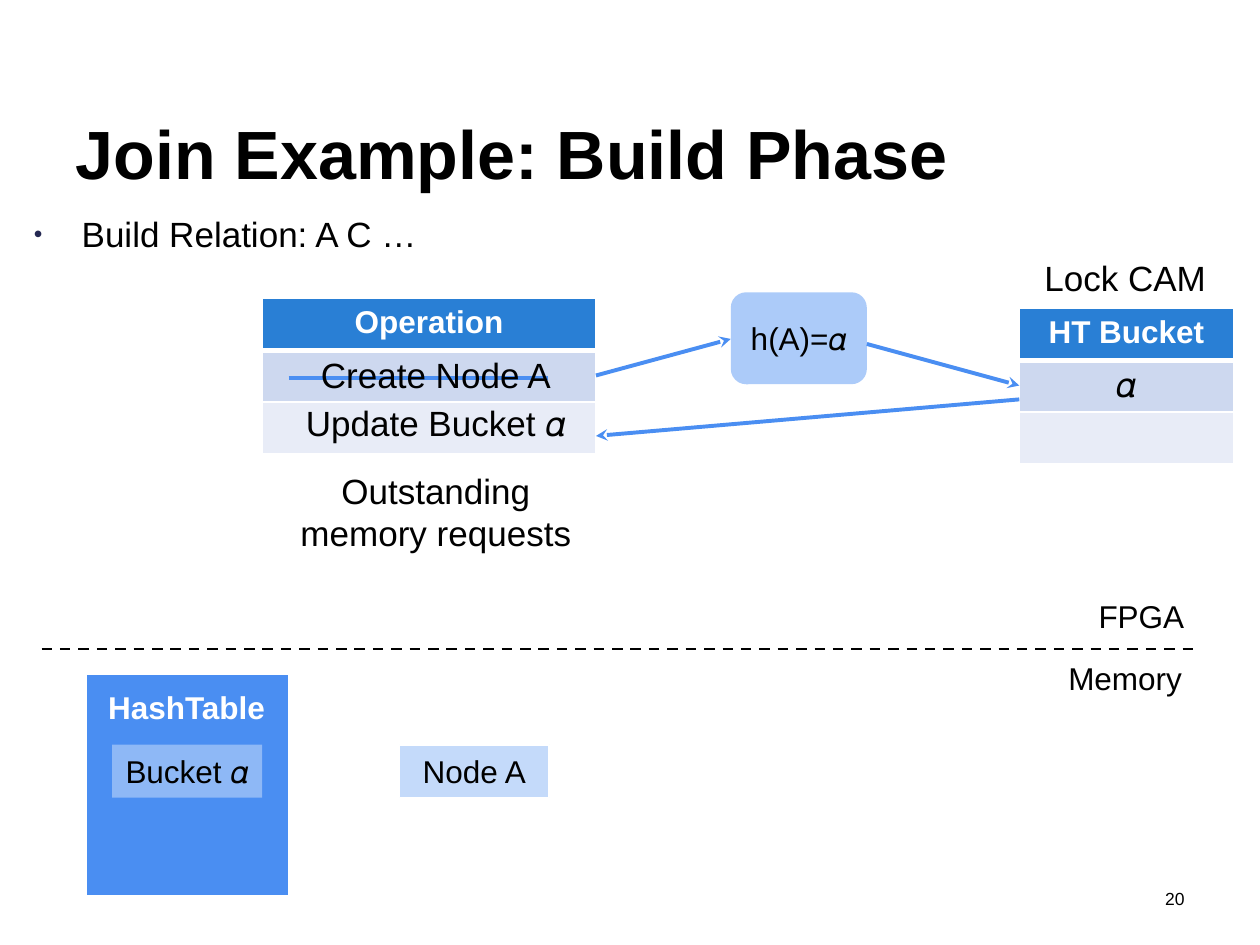
from lxml import etree
from pptx import Presentation
from pptx import util as u
from pptx.dml.color import RGBColor
from pptx.enum import dml, shapes, text
from pptx.oxml.ns import qn

BLACK, WHITE = "000000", "FFFFFF"
BLUE, PALE, HEAD = "4A8EF2", "ACCBF9", "297FD5"
BANDS = ["CDD8EF", "E8ECF7"]
ROW = 0.41
ALIGN = {"l": text.PP_ALIGN.LEFT, "c": text.PP_ALIGN.CENTER, "r": text.PP_ALIGN.RIGHT}

TITLE = "Join Example: Build Phase"
BULLET = "Build Relation: A C …"
# heading, left, top, width
TABLES = [("HT Bucket", 8.09, 2.45, 1.7), ("Operation", 2.08, 2.37, 2.65)]
# words, box, format
LABELS = [
    ("Lock CAM", (8.19, 1.99, 1.5, 0.44), dict(size=20, wrap=False)),
    ("Outstanding memory requests", (2.16, 3.68, 2.6, 0.77), dict(size=20, align="c")),
    ("HashTable", (0.76, 5.41, 1.46, 0.4), dict(color=WHITE, bold=True, wrap=False)),
    ("Memory", (8.38, 5.18, 1.11, 0.4), dict(wrap=False)),
    ("FPGA", (8.62, 4.69, 0.89, 0.4), dict(wrap=False)),
    ("20", (7.17, 7, 2.33, 0.33), dict(size=10, align="r")),
    ("Create Node A", (2.16, 2.76, 2.6, 0.44), dict(size=20, align="c")),
    ("Update Bucket 𝛼", (2.16, 3.14, 2.6, 0.44), dict(size=20, align="c")),
    ("𝛼", (8.41, 2.83, 1.06, 0.44), dict(size=20, align="c")),
]
# words, box, fill, opacity, outline, rounded
BOXES = [
    ("h(A)=𝛼", (5.8, 2.32, 1.08, 0.73), PALE, 100, None, True),
    ("", (0.68, 5.35, 1.61, 1.76), BLUE, 100, WHITE, False),
    ("Bucket 𝛼", (0.89, 5.91, 1.19, 0.42), PALE, 70, None, False),
    ("Node A", (3.17, 5.91, 1.19, 0.42), PALE, 70, WHITE, False),
]
ARROWS = [(6.88, 2.73, 8.09, 3.06), (4.73, 2.98, 5.8, 2.69), (8.09, 3.17, 4.73, 3.46)]
STRIKE = (2.29, 3, 4.35, 3)
DIVIDER = (0.33, 5.15, 9.5, 5.15)


def rgb(code):
    return RGBColor.from_string(code)


def inches(nums):
    return [u.Inches(n) for n in nums]


def sub(node, tag, **attrs):
    return etree.SubElement(node, qn(tag), attrs)


def write(frame, words, size=18, color=BLACK, bold=False, align="l", wrap=True, anchor="TOP"):
    frame.word_wrap = wrap
    frame.vertical_anchor = text.MSO_ANCHOR[anchor]
    par = frame.paragraphs[0]
    par.alignment = ALIGN[align]
    run = par.add_run()
    run.text = words
    font = run.font
    font.name, font.size, font.bold = "Arial", u.Pt(size), bold
    font.color.rgb = rgb(color)
    return par


def label(slide, words, box, **style):
    frame = slide.shapes.add_textbox(*inches(box)).text_frame
    return write(frame, words, **style)


def block(slide, words, box, fill, alpha, edge, rounded):
    kind = shapes.MSO_SHAPE.ROUNDED_RECTANGLE if rounded else shapes.MSO_SHAPE.RECTANGLE
    shape = slide.shapes.add_shape(kind, *inches(box))
    shape.shadow.inherit = False
    shape.fill.solid()
    shape.fill.fore_color.rgb = rgb(fill)
    if alpha < 100:
        tint = shape.fill._xPr.find(".//" + qn("a:srgbClr"))
        sub(tint, "a:alpha", val=str(alpha * 1000))
    if edge:
        shape.line.color.rgb = rgb(edge)
        shape.line.width = u.Pt(1)
    else:
        shape.line.fill.background()
    if words:
        write(shape.text_frame, words, align="c", wrap=rounded, anchor="MIDDLE")


def line(slide, ends, color=BLUE, width=2.25, arrow=False, dash=False):
    link = slide.shapes.add_connector(shapes.MSO_CONNECTOR.STRAIGHT, *inches(ends))
    link.line.color.rgb = rgb(color)
    link.line.width = u.Pt(width)
    if dash:
        link.line.dash_style = dml.MSO_LINE.DASH
    if arrow:
        sub(link.line._get_or_add_ln(), "a:tailEnd", type="stealth", w="med", len="med")
    sub(link._element.spPr, "a:effectLst")


def border(cell, **widths):
    """Draw white cell edges; lines must come before the fill."""
    props = cell._tc.get_or_add_tcPr()
    for spot, (side, width) in enumerate(widths.items()):
        edge = sub(props, "a:ln" + side, w=str(u.Pt(width)))
        sub(sub(edge, "a:solidFill"), "a:srgbClr", val=WHITE)
        props.insert(spot, edge)


def grid(slide, head, left, top, width):
    fills = [HEAD] + BANDS
    box = inches((left, top, width, ROW * len(fills)))
    table = slide.shapes.add_table(len(fills), 1, *box).table
    for i, fill in enumerate(fills):
        table.rows[i].height = u.Inches(ROW)
        cell = table.cell(i, 0)
        cell.fill.solid()
        cell.fill.fore_color.rgb = rgb(fill)
        border(cell, L=1, R=1, T=3 if i == 1 else 1, B=1 if i else 3)
        cell.text_frame.paragraphs[0].font.size = u.Pt(18)
    write(table.cell(0, 0).text_frame, head, color=WHITE, bold=True, align="c")


def bullet(slide):
    par = label(slide, BULLET, (0.17, 1.64, 9, 0.54), size=20)
    props = par._p.get_or_add_pPr()
    props.set("marL", str(u.Inches(0.38)))
    props.set("indent", str(u.Inches(-0.38)))
    sub(sub(props, "a:buClr"), "a:srgbClr", val="242852")
    sub(props, "a:buSzPct", val="70000")
    sub(props, "a:buFont", typeface="Arial")
    sub(props, "a:buChar", char="•")


def main():
    deck = Presentation()
    deck.slide_width, deck.slide_height = inches((10, 7.5))
    slide = deck.slides.add_slide(deck.slide_layouts[5])
    title = slide.shapes.title
    title.left, title.top, title.width, title.height = inches((0.5, 0.75, 9, 0.83))
    write(title.text_frame, TITLE, size=39, bold=True, anchor="BOTTOM")
    for table in TABLES:
        grid(slide, *table)
    for box in BOXES:
        block(slide, *box)
    for ends in ARROWS:
        line(slide, ends, arrow=True)
    line(slide, DIVIDER, color=BLACK, width=1.5, dash=True)
    line(slide, STRIKE)
    for words, box, style in LABELS:
        label(slide, words, box, **style)
    bullet(slide)
    deck.save("out.pptx")


if __name__ == "__main__":
    main()
